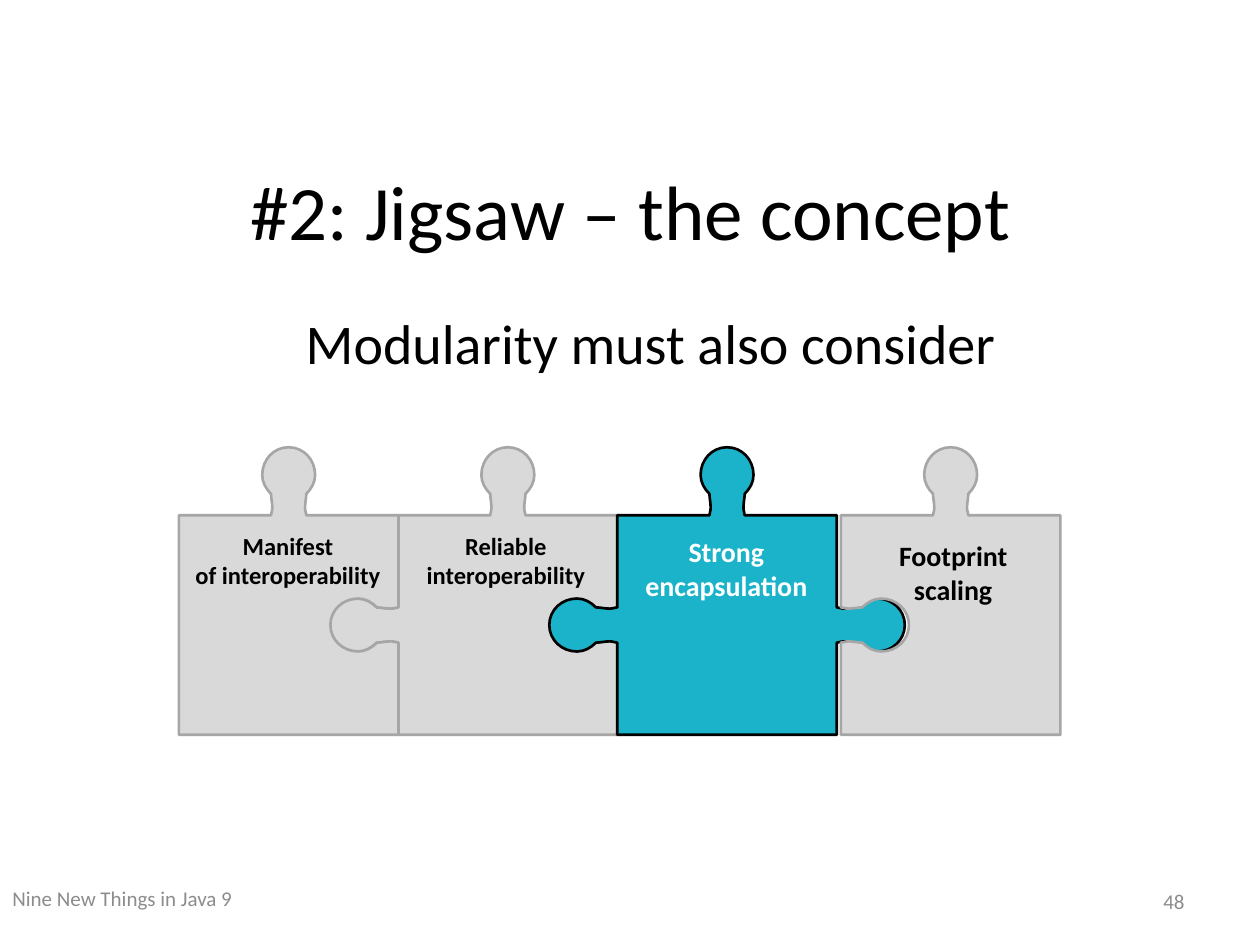
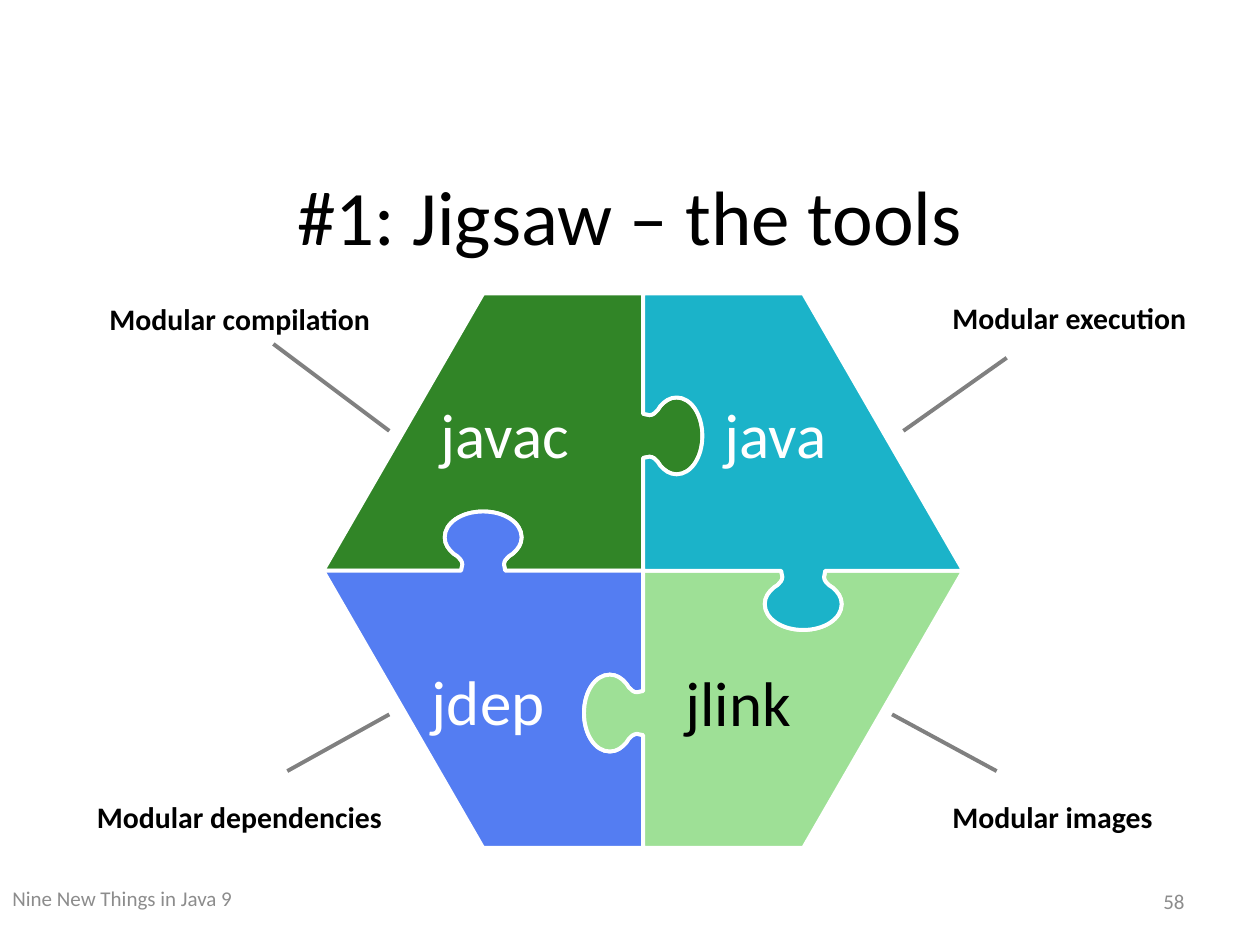
from lxml import etree
from pptx import Presentation
from pptx.dml.color import RGBColor
from pptx.enum.shapes import MSO_CONNECTOR
from pptx.enum.text import MSO_ANCHOR, MSO_AUTO_SIZE, PP_ALIGN
from pptx.oxml.ns import qn
from pptx.util import Inches, Pt

LEFT, CENTER, RIGHT = PP_ALIGN.LEFT, PP_ALIGN.CENTER, PP_ALIGN.RIGHT
TOP, MIDDLE = MSO_ANCHOR.TOP, MSO_ANCHOR.MIDDLE
STRAIGHT = MSO_CONNECTOR.STRAIGHT
FIXED = MSO_AUTO_SIZE.NONE

FONT = "Calibri"
COLORS = {
    "black": "000000", "white": "FFFFFF", "foot": "8C8C8C",
    "pale": "D9D9D9", "edge": "A6A6A6", "rule": "808080",
    "teal": "1BB3C9", "green": "318527", "blue": "547DF2", "mint": "9EE096",
}

# The slide is a grid of 100 columns by 75 rows
WIDTH, HEIGHT = Inches(10), Inches(7.5)
CELL = WIDTH // 100

# Left half of a knob: Bezier segments as (along the edge, out of the edge)
SLIM_KNOB = [(-1.4, 0), (-1.4, 0.2), (-1.3, 0.3), (-1.3, 0.6),
             (-1.3, 1), (-1.4, 1.4), (-1.4, 1.7),
             (-1.8, 2.1), (-2.1, 2.6), (-2.1, 3.2),
             (-2.1, 4.4), (-1.2, 5.4), (0, 5.4)]
WIDE_KNOB = [(-1.75, 0), (-1.7, 0.2), (-1.65, 0.3), (-1.65, 0.5),
             (-1.65, 0.75), (-1.85, 1), (-2.05, 1.15),
             (-2.15, 1.2), (-2.25, 1.3), (-2.35, 1.35),
             (-2.75, 1.7), (-3.05, 2.1), (-3.05, 2.65),
             (-3.05, 3.8), (-1.7, 4.7), (0, 4.7)]
UP, DOWN, WEST, EAST = (0, -1), (0, 1), (-1, 0), (1, 0)


def color(name):
    return RGBColor.from_string(COLORS[name])


def cells(*sizes):
    return [round(size * CELL) for size in sizes]


def write(frame, text, size=12, ink="black", bold=False, align=LEFT,
          anchor=TOP, inset=0.5):
    """Fill a text frame, one paragraph per line of text."""
    frame.word_wrap = True
    frame.auto_size = FIXED
    frame.vertical_anchor = anchor
    frame.margin_left = frame.margin_right = Inches(0.1)
    frame.margin_top, frame.margin_bottom = cells(inset, 0.5)
    frame.text = text
    for para in frame.paragraphs:
        para.alignment = align
        para.font.name = FONT
        para.font.size = Pt(size)
        para.font.bold = bold
        para.font.color.rgb = color(ink)


def add_text(slide, box, text, **style):
    write(slide.shapes.add_textbox(*cells(*box)).text_frame, text, **style)


def add_slide(deck, title, box, page, anchor):
    """Start a slide with its title, page number and footer."""
    slide = deck.slides.add_slide(deck.slide_layouts[5])
    head = slide.shapes.title
    head.left, head.top, head.width, head.height = cells(*box)
    write(head.text_frame, title, size=44, align=CENTER, anchor=anchor)
    add_text(slide, (71.7, 69.5, 23.3, 4), page, ink="foot", align=RIGHT,
             anchor=MIDDLE)
    add_text(slide, (0, 69.3, 100, 4), "Nine New Things in Java 9",
             ink="foot", anchor=MIDDLE)
    return slide


def knob_points(half, last, x, y, out):
    """Place a knob at x, y on the edge that comes from the last corner."""
    whole = half + [(-u, v) for u, v in half[-2::-1]]
    if out in (UP, DOWN):
        walk = (1 if x > last[0] else -1, 0)
    else:
        walk = (0, 1 if y > last[1] else -1)
    return [(x + u * walk[0] + v * out[0], y + u * walk[1] + v * out[1])
            for u, v in whole]


def bend(lines):
    """Merge every three line segments into one Bezier curve."""
    for i in range(0, len(lines), 3):
        curve = etree.Element(qn("a:cubicBezTo"))
        lines[i].addprevious(curve)
        for line in lines[i:i + 3]:
            curve.append(line[0])
            line.getparent().remove(line)


def add_piece(slide, outline, knob, fill, edge, weight):
    """Draw a piece; the outline lists corners (x, y) and knobs (x, y, out)."""
    points, spans = [], []
    for mark in outline:
        if len(mark) == 2:
            points.append(mark)
        else:
            first = len(points)
            points += knob_points(knob, points[-1], *mark)
            spans.append((first, len(points) - 1))
    spots = [cells(*point) for point in points]
    pen = slide.shapes.build_freeform(*spots[0])
    pen.add_line_segments(spots[1:], close=True)
    piece = pen.convert_to_shape()
    lines = list(piece._element.iter(qn("a:lnTo")))
    for first, last in spans:
        bend(lines[first:last])
    piece.shadow.inherit = False
    piece.fill.solid()
    piece.fill.fore_color.rgb = color(fill)
    piece.line.color.rgb = color(edge)
    piece.line.width = Pt(weight)


def add_square(slide, x, left=None, right=None, fill="pale", edge="edge"):
    """Square piece with a knob on top and optional ones at the sides."""
    side, top = 17.42, 40.9
    mid, end, low = top + side / 2, x + side, top + side
    outline = [(x, top), (x + side / 2, top, UP), (end, top)]
    if right:
        outline.append((end, mid, right))
    outline += [(end, low), (x, low)]
    if left:
        outline.append((x, mid, left))
    add_piece(slide, outline, SLIM_KNOB, fill, edge, 1.5)


def add_quarter(slide, across, down, fill):
    """Quarter of the hexagon; across and down are -1 or 1."""
    x, y, wide, high = 51.05, 45.3, 25.4, 22
    far = y + down * high
    outline = [
        (x, y),
        (x, y + down * high * 0.5 + 0.3, EAST if down < 0 else WEST),
        (x, far), (x + across * wide / 2, far), (x + across * wide, y),
        (x + across * wide / 2, y, UP if across < 0 else DOWN),
    ]
    add_piece(slide, outline, WIDE_KNOB, fill, "white", 2.25)


def add_rule(slide, *ends):
    rule = slide.shapes.add_connector(STRAIGHT, *cells(*ends))
    rule.line.color.rgb = color("rule")
    rule.line.width = Pt(2.25)
    etree.SubElement(rule._element.spPr, qn("a:effectLst"))


def build_concept(deck):
    slide = add_slide(deck, "#2: Jigsaw – the concept",
                      (9.2, 12.5, 81.7, 8.4), "48", TOP)
    add_text(slide, (13.3, 24, 76.7, 6.4), "Modularity must also consider",
             size=32, align=CENTER)

    # Row of pieces, the teal one between its neighbours
    add_square(slide, 31.6, left=WEST, right=WEST)
    add_square(slide, 14.2, right=WEST)
    add_square(slide, 49, left=WEST, right=EAST, fill="teal", edge="black")
    add_square(slide, 66.74, left=EAST)

    # Piece labels
    for x, y, high, text, size, ink in (
            (14.3, 41.1, 6.2, "Manifest\nof interoperability", 14, "black"),
            (31.6, 41.1, 6.2, "Reliable interoperability", 14, "black"),
            (49.1, 41.4, 6.9, "Strong encapsulation", 16, "white"),
            (67.1, 41.7, 6.9, "Footprint scaling", 16, "black")):
        add_text(slide, (x, y, 17.1, high), text, size=size, ink=ink,
                 bold=True, align=CENTER, anchor=MIDDLE, inset=1)


def build_tools(deck):
    slide = add_slide(deck, "#1: Jigsaw – the tools",
                      (0, 10.8, 100, 12.5), "58", MIDDLE)

    # Hexagon of four pieces
    for across, down, fill in ((-1, -1, "green"), (-1, 1, "blue"),
                               (1, 1, "mint"), (1, -1, "teal")):
        add_quarter(slide, across, down, fill)

    # Tool names
    for x, y, text, ink in ((34, 30.9, "javac", "white"),
                            (56.5, 30.9, "java", "white"),
                            (33.3, 52.1, "jdep", "white"),
                            (53.4, 52.2, "jlink", "black")):
        add_text(slide, (x, y, 14, 7.1), text, size=36, ink=ink)

    # Captions and their rules
    for x, y, wide, text in ((7.7, 23.4, 24.6, "Modular compilation"),
                             (74.6, 23.3, 22.9, "Modular execution"),
                             (74.6, 62.9, 18.5, "Modular images"),
                             (6.7, 62.9, 25.6, "Modular dependencies")):
        add_text(slide, (x, y, wide, 3.9), text, size=17, bold=True)
    for ends in ((21.7, 27.3, 30.9, 34.2), (70.8, 56.7, 79.1, 61.2),
                 (22.8, 61.2, 30.9, 56.7), (71.7, 34.2, 79.9, 28.4)):
        add_rule(slide, *ends)


def main():
    deck = Presentation()
    deck.slide_width, deck.slide_height = WIDTH, HEIGHT
    build_concept(deck)
    build_tools(deck)
    deck.save("out.pptx")


if __name__ == "__main__":
    main()
